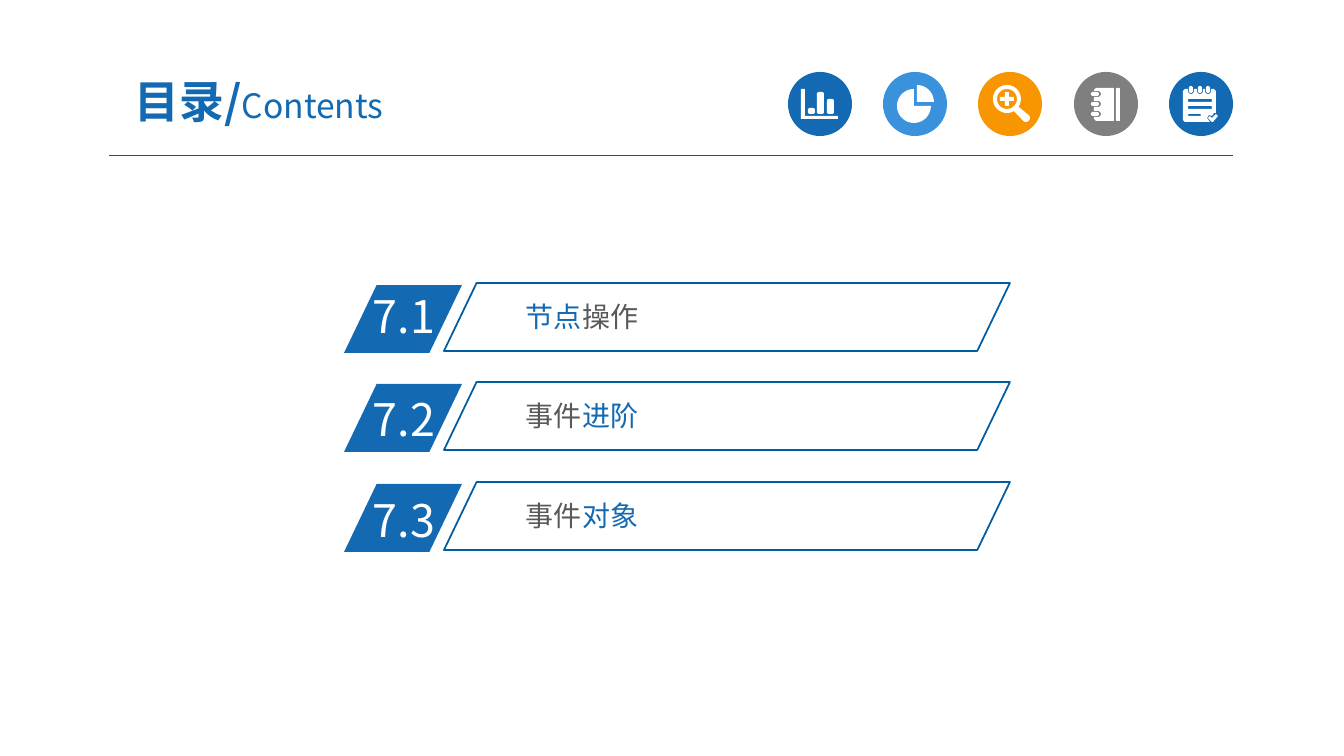
import math
from dataclasses import dataclass

import pptx
import pptx.dml.color
import pptx.enum.shapes
import pptx.enum.text
import pptx.oxml.ns
import pptx.util
from lxml import etree

PX = 914400 / 100.8
FONT = "Noto Sans CJK SC"
COLORS = {
    "blue": "1369B2",
    "sky": "3992DB",
    "orange": "F79600",
    "gray": "7F7F7F",
    "outline": "005DA2",
    "rule": "005B9E",
    "text": "595959",
    "white": "FFFFFF",
}
SHAPES = pptx.enum.shapes.MSO_SHAPE
ANCHOR = pptx.enum.text.MSO_ANCHOR
Point = tuple[float, float]
Contour = list[Point]


@dataclass
class Span:
    text: str
    color: str


@dataclass
class Chapter:
    number: str
    number_top: int
    spans: list[Span]


@dataclass
class Icon:
    color: str
    contours: list[Contour]


def px(n: float) -> int:
    return round(n * PX)


def rgb(name: str):
    return pptx.dml.color.RGBColor.from_string(COLORS[name])


def arc(cx: float, cy: float, r: float, start: int, end: int) -> Contour:
    steps = max(4, abs(end - start) // 10)
    angles = [math.radians(start + (end - start) * i / steps) for i in range(steps + 1)]
    return [(cx + r * math.cos(a), cy + r * math.sin(a)) for a in angles]


def rounded(x: int, y: int, w: int, h: int, r: float) -> Contour:
    return (arc(x + r, y + r, r, 180, 270) + arc(x + w - r, y + r, r, 270, 360)
            + arc(x + w - r, y + h - r, r, 0, 90) + arc(x + r, y + h - r, r, 90, 180))


def bar_chart() -> list[Contour]:
    axes = [(13, 17), (17, 17), (17, 44), (50, 44), (50, 47), (13, 47)]
    bars = [rounded(x, top, 7, 42 - top, 2) for x, top in ((20, 36), (29, 20), (39, 27))]
    return [axes, *bars]


def pie_chart() -> list[Contour]:
    return [[(34, 30), *arc(34, 30, 17, -90, 0)], [(31, 34), *arc(31, 34, 17, 0, 270)]]


def magnifier() -> list[Contour]:
    lens = arc(29, 27, 14, 60, 394) + arc(48, 46, 4, -45, 135)
    quarter = [(2, -2), (7, -2), (7, 2), (2, 2)]
    plus = []
    for cos, sin in ((1, 0), (0, 1), (-1, 0), (0, -1)):
        plus += [(29 + x * cos - y * sin, 27 + x * sin + y * cos) for x, y in quarter]
    return [lens, arc(29, 27, 10, 0, 360), plus]


def notebook() -> list[Contour]:
    rings = (42, 32, 22)
    cover = [(40, 16), (40, 49), (22, 49), (20, 47)]
    for y in rings:
        cover += [(20, y + 3), *arc(24, y, 3, 90, -90), (20, y - 3)]
    cover += [(20, 18), (22, 16)]
    return [cover, rounded(42, 16, 4, 33, 1)] + [rounded(17, y - 2, 8, 4, 2) for y in rings]


def notepad() -> list[Contour]:
    rings = (22, 31, 39)
    page = [(14, 19), (16, 17)]
    for x in rings:
        page += [(x - 3, 17), *arc(x, 19, 3, 180, 0), (x + 3, 17)]
    page += [(45, 17), (47, 19), (47, 41), (45, 41), (43, 44), (40, 43), (38, 46),
             (41, 50), (16, 50), (14, 48)]
    tick = [(39, 46), (41, 44), (43, 46), (47, 42), (49, 44), (44, 50), (43, 50)]
    lines = [rounded(19, 27, 24, 3, 1), rounded(19, 34, 24, 3, 1), rounded(19, 42, 13, 2, 1)]
    return [page, tick, *lines] + [rounded(x - 2, 14, 4, 7, 2) for x in rings]


def paint(sp, fill: str | None, line: str | None = None) -> None:
    sp.shadow.inherit = False
    if fill:
        sp.fill.solid()
        sp.fill.fore_color.rgb = rgb(fill)
    else:
        sp.fill.background()
    if line:
        sp.line.color.rgb = rgb(line)
        sp.line.width = pptx.util.Pt(1.25)
    else:
        sp.line.fill.background()


def add_preset(slide, kind, x: int, y: int, w: int, h: int, fill: str | None,
               line: str | None = None):
    sp = slide.shapes.add_shape(kind, px(x), px(y), px(w), px(h))
    paint(sp, fill, line)
    return sp


def add_slant(slide, x: int, y: int, w: int, fill: str | None, line: str | None = None) -> None:
    sp = add_preset(slide, SHAPES.PARALLELOGRAM, x, y, w, 68, fill, line)
    sp.adjustments[0] = 0.48


def add_icon(slide, icon: Icon, x: int, y: int) -> None:
    add_preset(slide, SHAPES.OVAL, x, y, 64, 64, icon.color)
    builder = None
    for contour in icon.contours:
        points = [(round(10 * (x + dx)), round(10 * (y + dy))) for dx, dy in contour]
        if builder is None:
            builder = slide.shapes.build_freeform(*points[0], scale=PX / 10)
        else:
            builder.move_to(*points[0])
        builder.add_line_segments(points[1:], close=True)
    paint(builder.convert_to_shape(), "white")


def set_font(font, size: int) -> None:
    font.size = pptx.util.Pt(size)
    font.name = FONT


def set_east_asian(p) -> None:
    for latin in list(p._p.iter(pptx.oxml.ns.qn("a:latin"))):
        ea = etree.Element(pptx.oxml.ns.qn("a:ea"), typeface=FONT)
        latin.addnext(ea)


def set_frame(tf, inset_x: int, inset_y: int, anchor) -> None:
    tf.word_wrap = True
    tf.auto_size = pptx.enum.text.MSO_AUTO_SIZE.NONE
    tf.vertical_anchor = anchor
    tf.margin_left = tf.margin_right = px(inset_x)
    tf.margin_top = tf.margin_bottom = px(inset_y)


def add_text(slide, x: int, y: int, w: int, h: int, spans: list[Span], size: int,
             inset_x: int, inset_y: int) -> None:
    tf = slide.shapes.add_textbox(px(x), px(y), px(w), px(h)).text_frame
    set_frame(tf, inset_x, inset_y, ANCHOR.TOP)
    p = tf.paragraphs[0]
    set_font(p.font, size)
    for span in spans:
        r = p.add_run()
        r.text = span.text
        r.font.color.rgb = rgb(span.color)
    set_east_asian(p)


def add_title(slide) -> None:
    sp = slide.shapes.title
    sp.left, sp.top, sp.width, sp.height = px(93), px(64), px(332), px(73)
    set_frame(sp.text_frame, 13, 7, ANCHOR.MIDDLE)
    p = sp.text_frame.paragraphs[0]
    p.alignment = pptx.enum.text.PP_ALIGN.CENTER
    p.font.color.rgb = rgb("blue")
    for text, size, bold in (("目录/", 32, True), ("Contents", 24, False)):
        r = p.add_run()
        r.text = text
        r.font.bold = bold
        set_font(r.font, size)
    set_east_asian(p)


def add_rule(slide) -> None:
    line = slide.shapes.add_connector(pptx.enum.shapes.MSO_CONNECTOR.STRAIGHT,
                                      px(109), px(156), px(1233), px(156))
    line.line.color.rgb = rgb("rule")
    line.line.width = pptx.util.Pt(0.75)
    etree.SubElement(line._element.spPr, pptx.oxml.ns.qn("a:effectLst"))


def main() -> None:
    prs = pptx.Presentation()
    prs.slide_width, prs.slide_height = px(1344), px(756)
    slide = prs.slides.add_slide(prs.slide_layouts[5])
    add_rule(slide)
    icons = [Icon("blue", bar_chart()), Icon("sky", pie_chart()), Icon("orange", magnifier()),
             Icon("gray", notebook()), Icon("blue", notepad())]
    for i, icon in enumerate(icons):
        add_icon(slide, icon, 788 + round(i * 95.25), 72)
    add_title(slide)
    chapters = [
        Chapter("7.1", 284, [Span("节点", "blue"), Span("操作", "text")]),
        Chapter("7.2", 387, [Span("事件", "text"), Span("进阶", "blue")]),
        Chapter("7.3", 488, [Span("事件", "text"), Span("对象", "blue")]),
    ]
    for i, chapter in enumerate(chapters):
        top = 285 + i * 199 // 2
        add_slant(slide, 344, top, 118, "blue")
        add_text(slide, 363, chapter.number_top, 113, 64, [Span(chapter.number, "white")],
                 32, 10, 5)
        add_text(slide, 519, top + 10, 415, 41, chapter.spans, 20, 7, 4)
        add_slant(slide, 444, top - 2, 566, None, "outline")
    prs.save("out.pptx")


if __name__ == "__main__":
    main()
